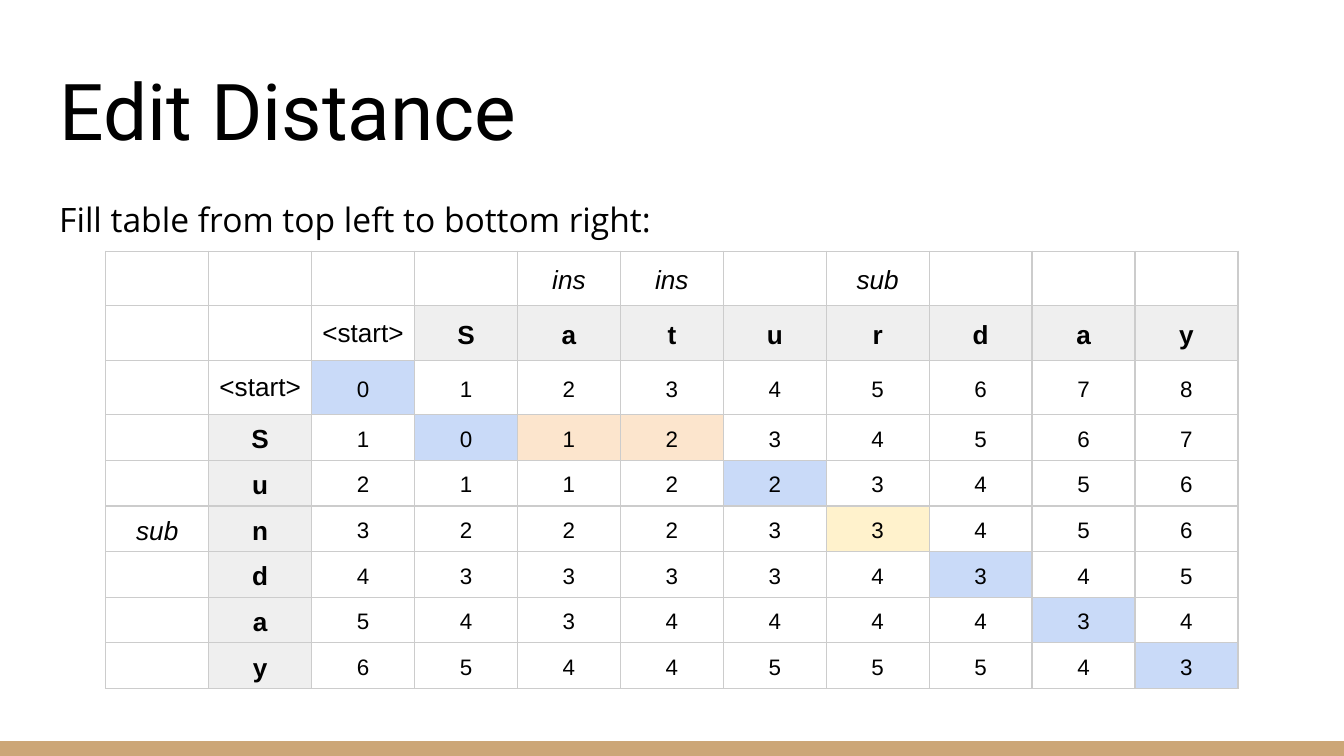
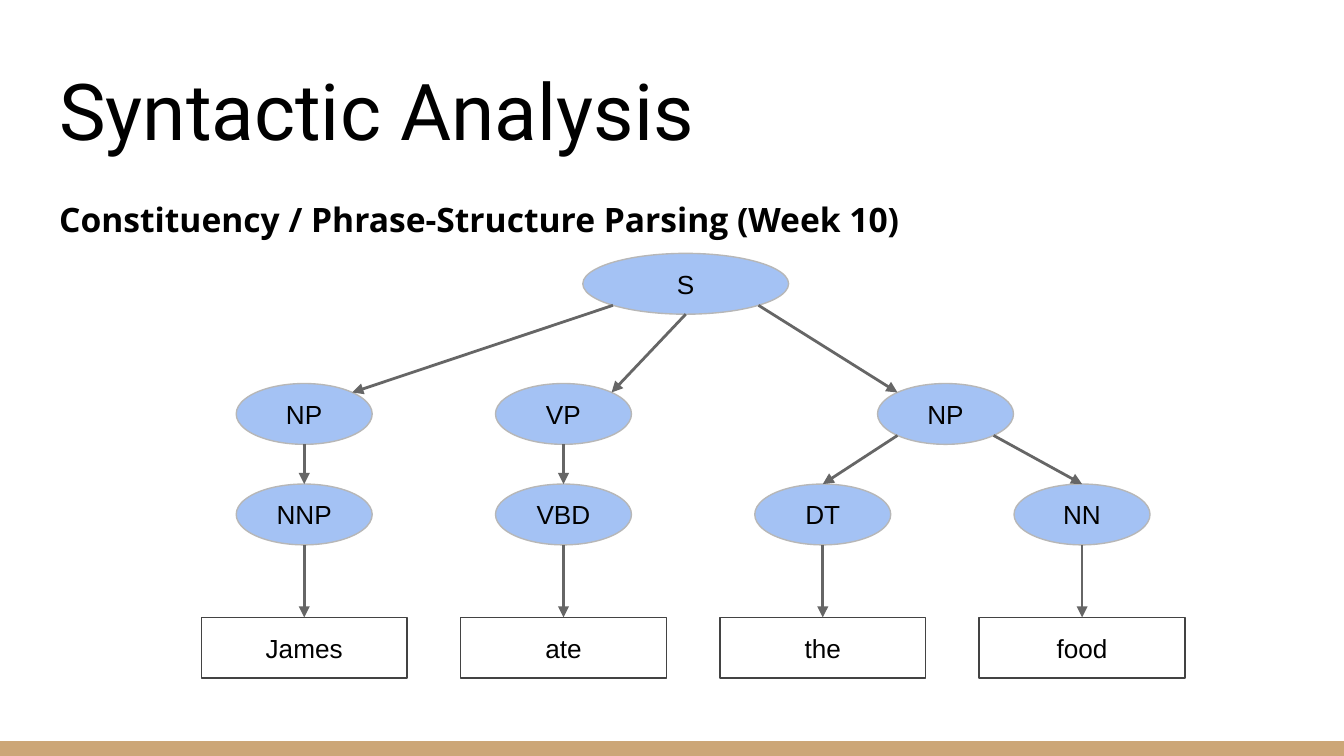
import math

from lxml import etree
from pptx import Presentation
from pptx.dml.color import RGBColor
from pptx.enum.shapes import MSO_CONNECTOR, MSO_SHAPE
from pptx.enum.text import MSO_ANCHOR, PP_ALIGN
from pptx.oxml.ns import qn
from pptx.util import Cm, Pt

RECTANGLE, ELLIPSE = MSO_SHAPE.RECTANGLE, MSO_SHAPE.OVAL
STRAIGHT = MSO_CONNECTOR.STRAIGHT
CENTER, LEFT = PP_ALIGN.CENTER, PP_ALIGN.LEFT
TOP_ANCHOR, MIDDLE, BOTTOM_ANCHOR = MSO_ANCHOR.TOP, MSO_ANCHOR.MIDDLE, MSO_ANCHOR.BOTTOM

BLACK, BAND, GRID, HEADER = "000000", "CCA677", "CCCCCC", "EFEFEF"
NODE_FILL, NODE_LINE, WORD_LINE, ARROW = "A4C2F4", "B7B7B7", "434343", "666666"
MATCH, INSERT, SUBSTITUTE = "C9DAF8", "FCE5CD", "FFF2CC"

TITLE_FORMAT = {"name": "Roboto", "size": Pt(42)}
BODY_FORMAT = {"name": "Open Sans", "size": Pt(18)}
LABEL_FORMAT = {"name": "Arial", "size": Pt(14)}
NUMBER_FORMAT = {"name": "Arial", "size": Pt(12)}

DISTANCES = [row.split(",") for row in (
    ",,,,ins,ins,,sub,,,",
    ",,<start>,S,a,t,u,r,d,a,y",
    ",<start>,0,1,2,3,4,5,6,7,8",
    ",S,1,0,1,2,3,4,5,6,7",
    ",u,2,1,1,2,2,3,4,5,6",
    "sub,n,3,2,2,2,3,3,4,5,6",
    ",d,4,3,3,3,3,4,3,4,5",
    ",a,5,4,3,4,4,4,4,3,4",
    ",y,6,5,4,4,5,5,5,4,3",
)]
ALIGNMENT_FILLS = {
    (2, 2): MATCH, (3, 3): MATCH, (3, 4): INSERT, (3, 5): INSERT, (4, 6): MATCH,
    (5, 7): SUBSTITUTE, (6, 8): MATCH, (7, 9): MATCH, (8, 10): MATCH,
}

WORD_CENTERS = [5.75 + 4.9 * index for index in range(4)]
NODE_HEIGHT, NARROW, WIDE = 1.15, 2.57, 3.89
SENTENCE_TOP, PHRASE_TOP, TAG_TOP, WORD_TOP = 4.79, 7.25, 9.15, 11.67
TOP, TOP_LEFT, TOP_RIGHT = (0, -1), (-1, -1), (1, -1)
BOTTOM, BOTTOM_LEFT, BOTTOM_RIGHT = (0, 1), (-1, 1), (1, 1)


def color(hex_value):
    """Turn a hex string into a colour."""
    return RGBColor.from_string(hex_value)


def write_text(frame, text, font_format, align=LEFT, anchor=TOP_ANCHOR, spacing=1.0):
    """Write one black paragraph into a text frame."""
    frame.word_wrap = True
    frame.vertical_anchor = anchor
    paragraph = frame.paragraphs[0]
    paragraph.alignment = align
    paragraph.line_spacing = spacing
    run = paragraph.add_run()
    run.text = text
    for name, value in font_format.items():
        setattr(run.font, name, value)
    run.font.color.rgb = color(BLACK)


def set_margins(holder, horizontal, vertical):
    """Set the inner margins of a text frame or a cell."""
    for side in ("left", "right"):
        setattr(holder, f"margin_{side}", Cm(horizontal))
    for side in ("top", "bottom"):
        setattr(holder, f"margin_{side}", Cm(vertical))


def add_text(slide, top, height, text, font_format, **layout):
    """Add a text box across the content width."""
    box = slide.shapes.add_textbox(Cm(0.87), Cm(top), Cm(23.67), Cm(height))
    set_margins(box.text_frame, 0.25, 0.25)
    write_text(box.text_frame, text, font_format, **layout)


def add_box(slide, kind, left, top, width, height, fill=None, line=None):
    """Add a flat preset shape with an optional fill and outline."""
    shape = slide.shapes.add_shape(kind, Cm(left), Cm(top), Cm(width), Cm(height))
    shape.shadow.inherit = False
    if fill:
        shape.fill.solid()
        shape.fill.fore_color.rgb = color(fill)
    else:
        shape.fill.background()
    if line:
        shape.line.color.rgb = color(line)
        shape.line.width = Pt(0.75)
    else:
        shape.line.fill.background()
    return shape


def add_slide(presentation, title):
    """Add a slide with the bottom band and its title."""
    slide = presentation.slides.add_slide(presentation.slide_layouts[6])
    add_box(slide, RECTANGLE, 0, 14.01, 25.4, 0.28, BAND)
    add_text(slide, 0.89, 2.31, title, TITLE_FORMAT, anchor=BOTTOM_ANCHOR)
    return slide


def add_cell_borders(cell):
    """Draw a thin grey line on each side of a cell."""
    properties = cell._tc.get_or_add_tcPr()
    for side in ("lnL", "lnR", "lnT", "lnB"):
        border = etree.SubElement(properties, qn(f"a:{side}"), w=str(Pt(0.75)))
        fill = etree.SubElement(border, qn("a:solidFill"))
        etree.SubElement(fill, qn("a:srgbClr"), val=GRID)


def fill_cell(cell, row, column, text):
    """Format one cell of the distance table by its place and text."""
    is_header = (row == 1 and column > 2) or (column == 1 and row > 2)
    fill = HEADER if is_header else ALIGNMENT_FILLS.get((row, column))
    set_margins(cell, 0.08, 0.05)
    add_cell_borders(cell)
    if fill:
        cell.fill.solid()
        cell.fill.fore_color.rgb = color(fill)
    else:
        cell.fill.background()
    if text:
        base = NUMBER_FORMAT if text.isdigit() else LABEL_FORMAT
        font_format = {**base, "bold": is_header, "italic": text in ("ins", "sub")}
        write_text(cell.text_frame, text, font_format, CENTER,
                   spacing=1.0 if text == "<start>" else 1.15)
        cell.vertical_anchor = MIDDLE


def add_distance_table(slide):
    """Add the edit distance table."""
    row_count, column_count = len(DISTANCES), len(DISTANCES[0])
    width = Cm(21.4)
    table = slide.shapes.add_table(
        row_count, column_count, Cm(2), Cm(4.75), width, Cm(8.25)).table
    table.first_row = table.horz_banding = False
    for column in table.columns:
        column.width = width // column_count
    for row, texts in enumerate(DISTANCES):
        table.rows[row].height = Cm(1.03 if row < 3 else 0.86)
        for column, text in enumerate(texts):
            fill_cell(table.cell(row, column), row, column, text)


def add_node(slide, text, center, top, width=NARROW, is_word=False):
    """Add a labelled tree node around a horizontal centre."""
    kind, fill, line = ((RECTANGLE, None, WORD_LINE) if is_word
                        else (ELLIPSE, NODE_FILL, NODE_LINE))
    node = add_box(slide, kind, center - width / 2, top, width, NODE_HEIGHT, fill, line)
    set_margins(node.text_frame, 0.25, 0.25)
    write_text(node.text_frame, text, LABEL_FORMAT, CENTER, MIDDLE)
    return node


def outline_point(node, direction):
    """Find the point on a node's outline in a direction."""
    horizontal, vertical = direction
    reach = math.sqrt(0.5) if horizontal and vertical else 1
    return (int(node.left + node.width / 2 * (1 + horizontal * reach)),
            int(node.top + node.height / 2 * (1 + vertical * reach)))


def add_arrow(slide, parent, child, start=BOTTOM, end=TOP):
    """Add an arrow from a parent node to a child node."""
    connector = slide.shapes.add_connector(
        STRAIGHT, *outline_point(parent, start), *outline_point(child, end))
    if end == TOP:
        connector.end_connect(child, 0)
    connector.line.color.rgb = color(ARROW)
    connector.line.width = Pt(1.5)
    etree.SubElement(connector.line._get_or_add_ln(), qn("a:tailEnd"), type="triangle")
    etree.SubElement(connector._element.spPr, qn("a:effectLst"))


def add_parse_tree(slide):
    """Add the constituency tree with its words and arrows."""
    sentence = add_node(slide, "S", 12.96, SENTENCE_TOP, WIDE)
    subject = add_node(slide, "NP", WORD_CENTERS[0], PHRASE_TOP)
    verb = add_node(slide, "VP", WORD_CENTERS[1], PHRASE_TOP)
    food = add_node(slide, "NP", 17.87, PHRASE_TOP)
    tags = [add_node(slide, text, center, TAG_TOP)
            for text, center in zip(("NNP", "VBD", "DT", "NN"), WORD_CENTERS)]
    words = [add_node(slide, text, center, WORD_TOP, WIDE, is_word=True)
             for text, center in zip(("James", "ate", "the", "food"), WORD_CENTERS)]
    add_arrow(slide, sentence, subject, BOTTOM_LEFT, TOP_RIGHT)
    add_arrow(slide, sentence, verb, BOTTOM, TOP_RIGHT)
    add_arrow(slide, sentence, food, BOTTOM_RIGHT, TOP_LEFT)
    add_arrow(slide, subject, tags[0])
    add_arrow(slide, verb, tags[1])
    add_arrow(slide, food, tags[2], BOTTOM_LEFT)
    add_arrow(slide, food, tags[3], BOTTOM_RIGHT)
    for tag, word in zip(tags, words):
        add_arrow(slide, tag, word)


def main():
    """Build and save both slides."""
    presentation = Presentation()
    presentation.slide_width, presentation.slide_height = Cm(25.4), Cm(14.29)

    slide = add_slide(presentation, "Edit Distance")
    add_distance_table(slide)
    add_text(slide, 3.4, 1.96, "Fill table from top left to bottom right:",
             BODY_FORMAT, spacing=1.15)

    slide = add_slide(presentation, "Syntactic Analysis")
    add_text(slide, 3.4, 9.32, "Constituency / Phrase-Structure Parsing (Week 10)",
             {**BODY_FORMAT, "bold": True}, spacing=1.15)
    add_parse_tree(slide)

    presentation.save("out.pptx")


if __name__ == "__main__":
    main()
